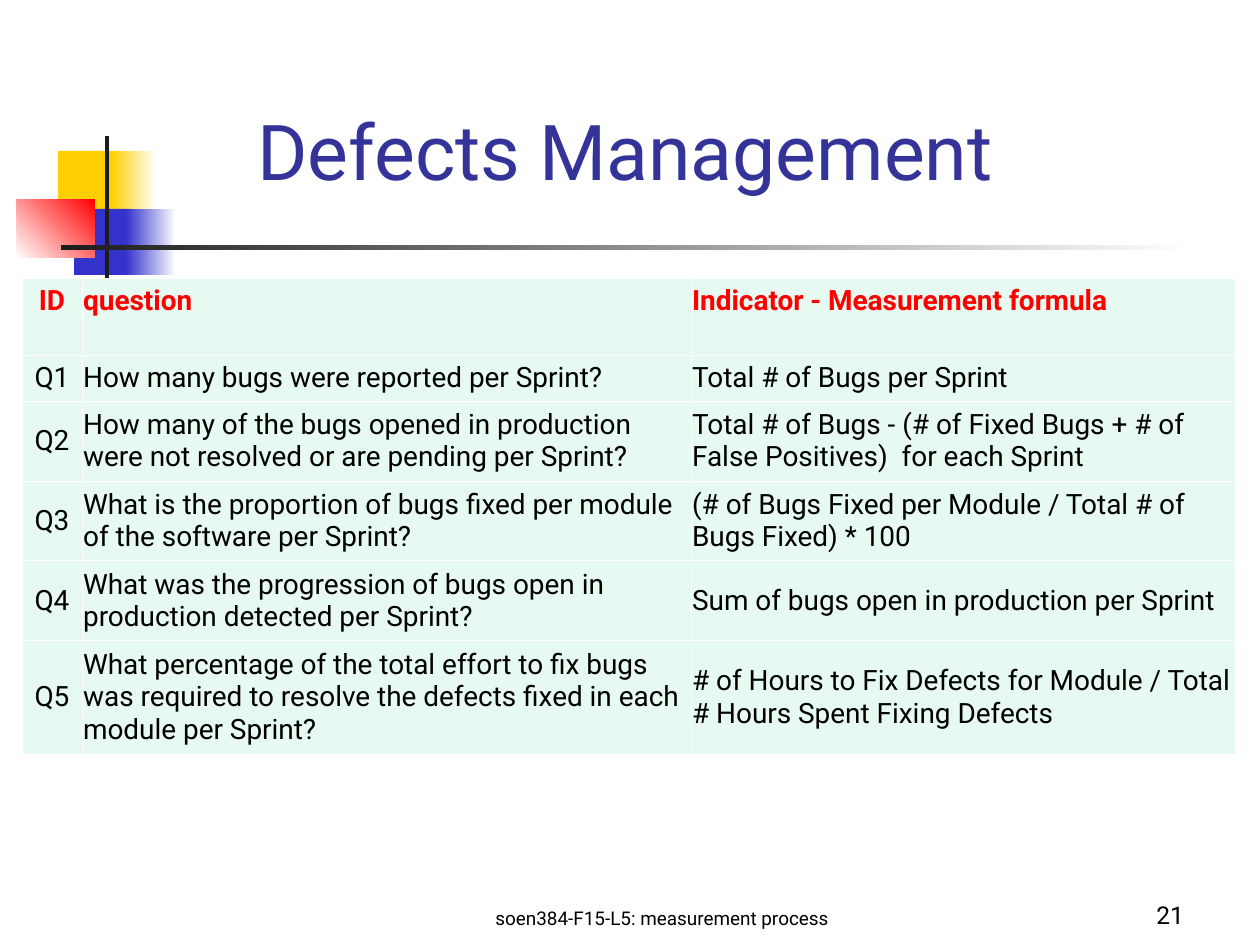
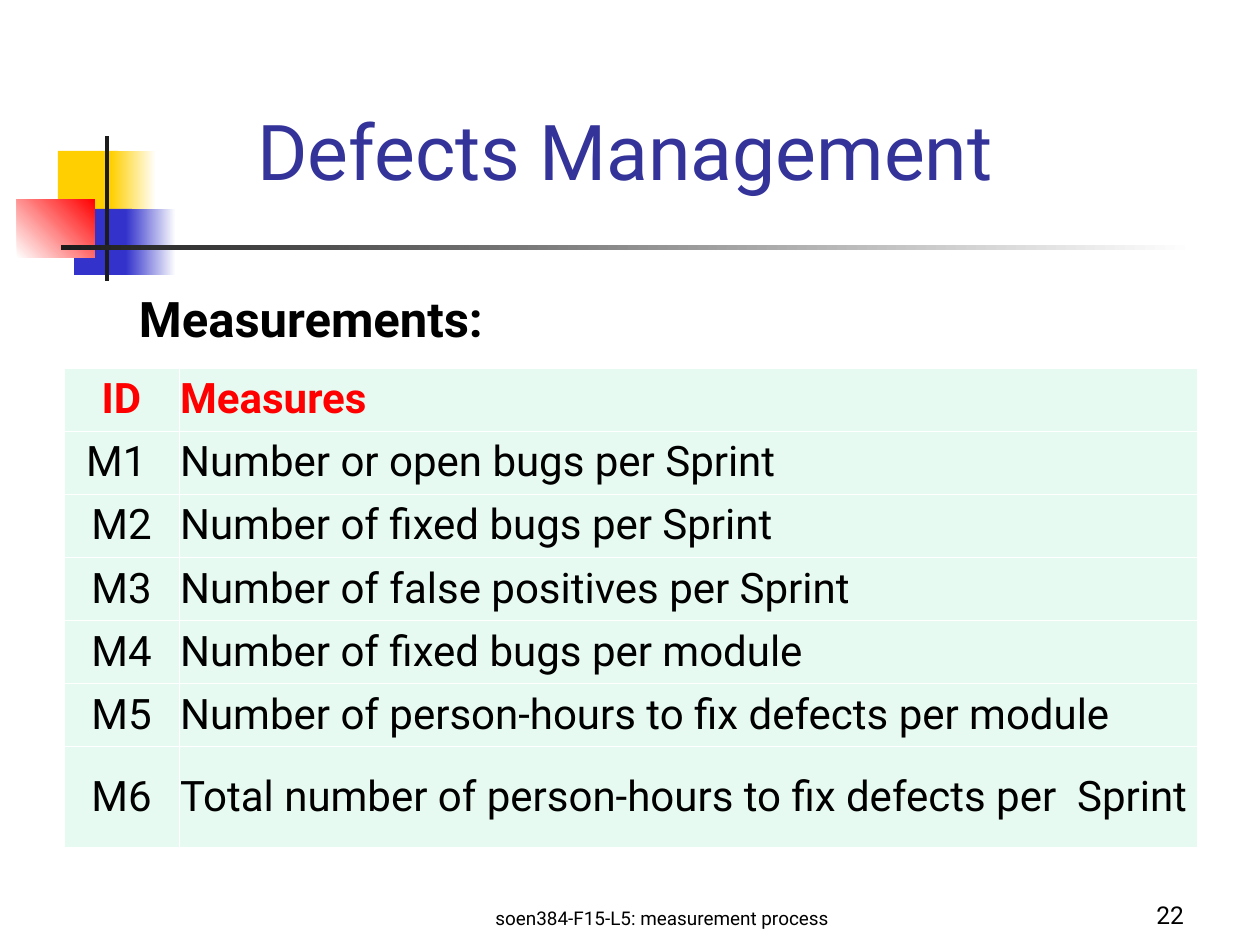
from lxml import etree
from pptx import Presentation
from pptx.dml.color import RGBColor
from pptx.enum.shapes import MSO_SHAPE
from pptx.enum.text import MSO_ANCHOR, PP_ALIGN
from pptx.oxml.ns import qn
from pptx.util import Emu, Pt

RECTANGLE = MSO_SHAPE.RECTANGLE
LEFT, CENTER, RIGHT = PP_ALIGN.LEFT, PP_ALIGN.CENTER, PP_ALIGN.RIGHT
TOP, MIDDLE, BOTTOM = MSO_ANCHOR.TOP, MSO_ANCHOR.MIDDLE, MSO_ANCHOR.BOTTOM

PX = 914400 / 126
COLORS = {
    "yellow": "FFCF01", "blue": "3333CC", "red": "FF0000", "dark": "1C1C1C",
    "white": "FFFFFF", "title": "333399", "text": "000000", "cell": "E7FAF1",
}
COLORS = {name: RGBColor.from_string(value) for name, value in COLORS.items()}

# box (left, top, width, height), colours (one or a gradient pair), angle
MOTIF = [
    ((58, 151, 60, 66), ["yellow"], 0),
    ((111, 151, 45, 66), ["yellow", "white"], 0),
    ((74, 209, 58, 66), ["blue"], 0),
    ((126, 209, 50, 66), ["blue", "white"], 0),
    ((17, 199, 78, 59), ["white", "red"], 45),
    ((105, 136, 4, 145), ["dark"], 0),
    ((61, 245, 1134, 5), ["dark", "white"], 0),
]

TITLE = "Defects Management "
FOOTER = "soen384-F15-L5: measurement process"

SLIDES = [
    {
        "number": "21",
        "heading": None,
        "size": 16,
        "origin": (22, 278),
        "columns": [60, 609, 544],
        "heights": [77, 45, 78, 77, 78, 110],
        "rows": [
            ("ID", "question", "Indicator - Measurement formula"),
            ("Q1", "How many bugs were reported per Sprint?",
             "Total # of Bugs per Sprint"),
            ("Q2", "How many of the bugs opened in production were not resolved "
             "or are pending per Sprint?",
             "Total # of Bugs - (# of Fixed Bugs + # of False Positives)  "
             "for each Sprint"),
            ("Q3", "What is the proportion of bugs fixed per module of the "
             "software per Sprint?",
             "(# of Bugs Fixed per Module / Total # of Bugs Fixed) * 100"),
            ("Q4", "What was the progression of bugs open in production "
             "detected per Sprint?",
             "Sum of bugs open in production per Sprint"),
            ("Q5", "What percentage of the total effort to fix bugs was required "
             "to resolve the defects fixed in each module per Sprint?",
             "# of Hours to Fix Defects for Module / Total "
             "# Hours Spent Fixing Defects"),
        ],
    },
    {
        "number": "22",
        "heading": "Measurements:",
        "size": 24,
        "origin": (64, 368),
        "columns": [115, 1018],
        "heights": [62] * 6 + [101],
        "rows": [
            ("ID", "Measures"),
            ("M1 ", "Number or open bugs per Sprint"),
            ("M2", "Number of fixed bugs per Sprint"),
            ("M3", "Number of false positives per Sprint"),
            ("M4", "Number of fixed bugs per module"),
            ("M5", "Number of person-hours to fix defects per module"),
            ("M6", "Total number of person-hours to fix defects per  Sprint"),
        ],
    },
]


def write(frame, text, size, color, align=LEFT, bold=False):
    """Put one formatted paragraph into a text frame."""
    paragraph = frame.paragraphs[0]
    paragraph.alignment = align
    run = paragraph.add_run()
    run.text = text
    run.font.color.rgb = COLORS[color]
    for name, value in {"name": "Roboto", "size": Pt(size), "bold": bold}.items():
        setattr(run.font, name, value)


def add_text(slide, box, anchor, *style, indent=13):
    frame = slide.shapes.add_textbox(*[Emu(round(v * PX)) for v in box]).text_frame
    margins = {"margin_left": indent, "margin_right": 13,
               "margin_top": 6, "margin_bottom": 6}
    for name, value in margins.items():
        setattr(frame, name, Emu(round(value * PX)))
    frame.word_wrap = True
    frame.vertical_anchor = anchor
    write(frame, *style)


prs = Presentation()
prs.slide_width = Emu(round(1260 * PX))
prs.slide_height = Emu(round(945 * PX))

for content in SLIDES:
    slide = prs.slides.add_slide(prs.slide_layouts[6])

    for box, colors, angle in MOTIF:
        block = slide.shapes.add_shape(RECTANGLE, *[Emu(round(v * PX)) for v in box])
        block.shadow.inherit = False
        block.line.fill.background()
        if len(colors) == 1:
            block.fill.solid()
            block.fill.fore_color.rgb = COLORS[colors[0]]
        else:
            block.fill.gradient()
            block.fill.gradient_angle = angle
            for stop, color in zip(block.fill.gradient_stops, colors):
                stop.color.rgb = COLORS[color]

    add_text(slide, (0, 0, 1270, 202), BOTTOM, TITLE, 44, "title", CENTER)
    if content["heading"]:
        add_text(slide, (63, 282, 1170, 563), TOP, content["heading"], 28, "text",
                 LEFT, True, indent=76)
    add_text(slide, (462, 872, 400, 63), BOTTOM, FOOTER, 10.8, "text", CENTER)
    add_text(slide, (935, 872, 262, 63), BOTTOM, content["number"], 14, "text", RIGHT)

    columns, heights, rows = content["columns"], content["heights"], content["rows"]
    box = (*content["origin"], sum(columns), sum(heights))
    table = slide.shapes.add_table(
        len(rows), len(columns), *[Emu(round(v * PX)) for v in box]).table
    table.first_row = table.horz_banding = False
    for column, width in zip(table.columns, columns):
        column.width = Emu(round(width * PX))
    for r, (height, row) in enumerate(zip(heights, rows)):
        table.rows[r].height = Emu(round(height * PX))
        header = r == 0
        for c, text in enumerate(row):
            cell = table.cell(r, c)
            layout = {
                "margin_left": Pt(0.7), "margin_right": Pt(0.7),
                "margin_top": Pt(3.6), "margin_bottom": Pt(3.6),
                "vertical_anchor": TOP if header else MIDDLE,
            }
            for name, value in layout.items():
                setattr(cell, name, value)
            write(cell.text_frame, text, content["size"], "red" if header else "text",
                  CENTER if c == 0 else LEFT, header)
            properties = cell._tc.get_or_add_tcPr()
            for side in ("a:lnL", "a:lnR", "a:lnT", "a:lnB"):
                border = etree.SubElement(properties, qn(side), w=str(Pt(0.45)))
                line_fill = etree.SubElement(border, qn("a:solidFill"))
                etree.SubElement(line_fill, qn("a:srgbClr"), val=str(COLORS["white"]))
            cell.fill.solid()
            cell.fill.fore_color.rgb = COLORS["cell"]

prs.save("out.pptx")
